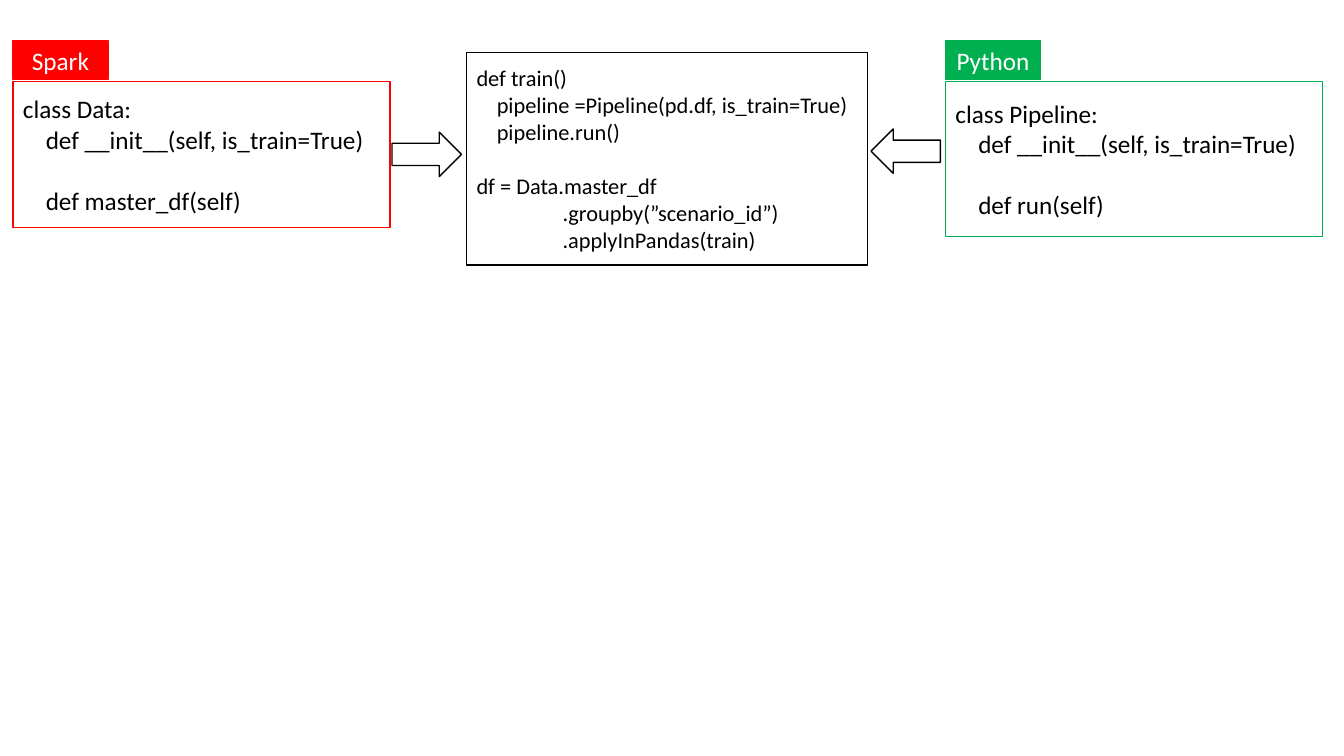
import pptx
import pptx.util
from pptx.dml.color import RGBColor
from pptx.enum.shapes import MSO_SHAPE
from pptx.enum.text import MSO_ANCHOR, PP_ALIGN
from pptx.util import Cm, Pt

RED = RGBColor(0xFF, 0x00, 0x00)
GREEN = RGBColor(0x00, 0xB0, 0x50)
BLACK = RGBColor(0x00, 0x00, 0x00)
WHITE = RGBColor(0xFF, 0xFF, 0xFF)
FONT = "Calibri"
SPACE_WIDTH = 0.226
LINE_HEIGHT = 1.22

DATA_CODE = [
    (0, False, "class Data:"),
    (4, False, "def __init__(self, is_train=True)"),
    (4, True, "def master_df(self)"),
]
PIPELINE_CODE = [
    (0, False, "class Pipeline:"),
    (4, False, "def __init__(self, is_train=True)"),
    (4, True, "def run(self)"),
]
TRAIN_CODE = [
    (0, False, "def train()"),
    (4, False, "pipeline =Pipeline(pd.df, is_train=True)"),
    (4, False, "pipeline.run()"),
    (0, True, "df = Data.master_df"),
    (17, False, ".groupby(\u201dscenario_id\u201d)"),
    (17, False, ".applyInPandas(train)"),
]


def add_block(page, kind, box, line_color, fill_color=None):
    shape = page.shapes.add_shape(kind, *(Cm(length) for length in box))
    shape.shadow.inherit = False
    shape.line.color.rgb = line_color
    shape.line.width = Pt(1)
    if fill_color is None:
        shape.fill.background()
    else:
        shape.fill.solid()
        shape.fill.fore_color.rgb = fill_color
    return shape


def style_para(para, text, size, color, align):
    para.text = text
    para.alignment = align
    para.font.name = FONT
    para.font.size = Pt(size)
    para.font.color.rgb = color


def add_code_box(page, box, color, code, size):
    frame = add_block(page, MSO_SHAPE.RECTANGLE, box, color).text_frame
    frame.word_wrap = True
    frame.vertical_anchor = MSO_ANCHOR.MIDDLE
    for index, (spaces, gap_above, text) in enumerate(code):
        para = frame.paragraphs[0] if index == 0 else frame.add_paragraph()
        style_para(para, text, size, BLACK, PP_ALIGN.LEFT)
        properties = para._p.get_or_add_pPr()
        properties.set("marL", str(int(Pt(spaces * SPACE_WIDTH * size))))
        properties.set("indent", "0")
        if gap_above:
            para.space_before = Pt(round(size * LINE_HEIGHT, 1))


def add_class_panel(page, box, label, color, code):
    left, top, width, height = box
    tab_height = 0.99
    gap = 0.04
    body_top = top + tab_height + gap
    add_code_box(page, (left, body_top, width, height - tab_height - gap), color, code, 18)
    tab = add_block(page, MSO_SHAPE.RECTANGLE, (left, top, 2.39, tab_height), color, color)
    frame = tab.text_frame
    frame.word_wrap = True
    frame.vertical_anchor = MSO_ANCHOR.MIDDLE
    frame.margin_left = frame.margin_right = Cm(0.1)
    style_para(frame.paragraphs[0], label, 18, WHITE, PP_ALIGN.CENTER)


def add_arrow(page, box, rotation):
    arrow = add_block(page, MSO_SHAPE.RIGHT_ARROW, box, BLACK)
    arrow.rotation = rotation


deck = pptx.Presentation()
deck.slide_width = Cm(33.87)
deck.slide_height = Cm(19.05)
page = deck.slides.add_slide(deck.slide_layouts[6])

add_class_panel(page, (0.33, 1.02, 9.5, 4.72), "Spark", RED, DATA_CODE)
add_class_panel(page, (23.83, 1.02, 9.5, 4.94), "Python", GREEN, PIPELINE_CODE)
add_arrow(page, (9.88, 3.33, 1.75, 1.12), 0)
add_arrow(page, (21.95, 3.25, 1.75, 1.12), 180)
add_code_box(page, (11.76, 1.32, 10.11, 5.36), BLACK, TRAIN_CODE, 16)

deck.save("out.pptx")
